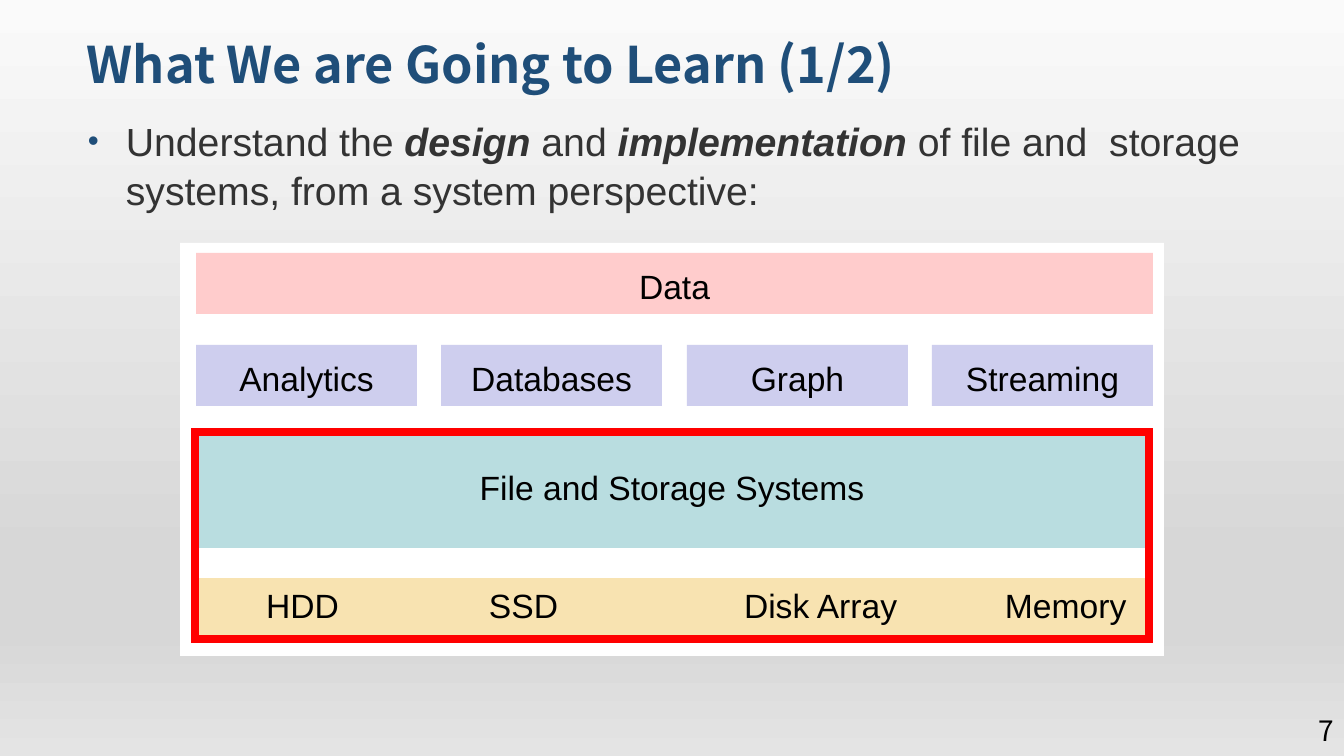
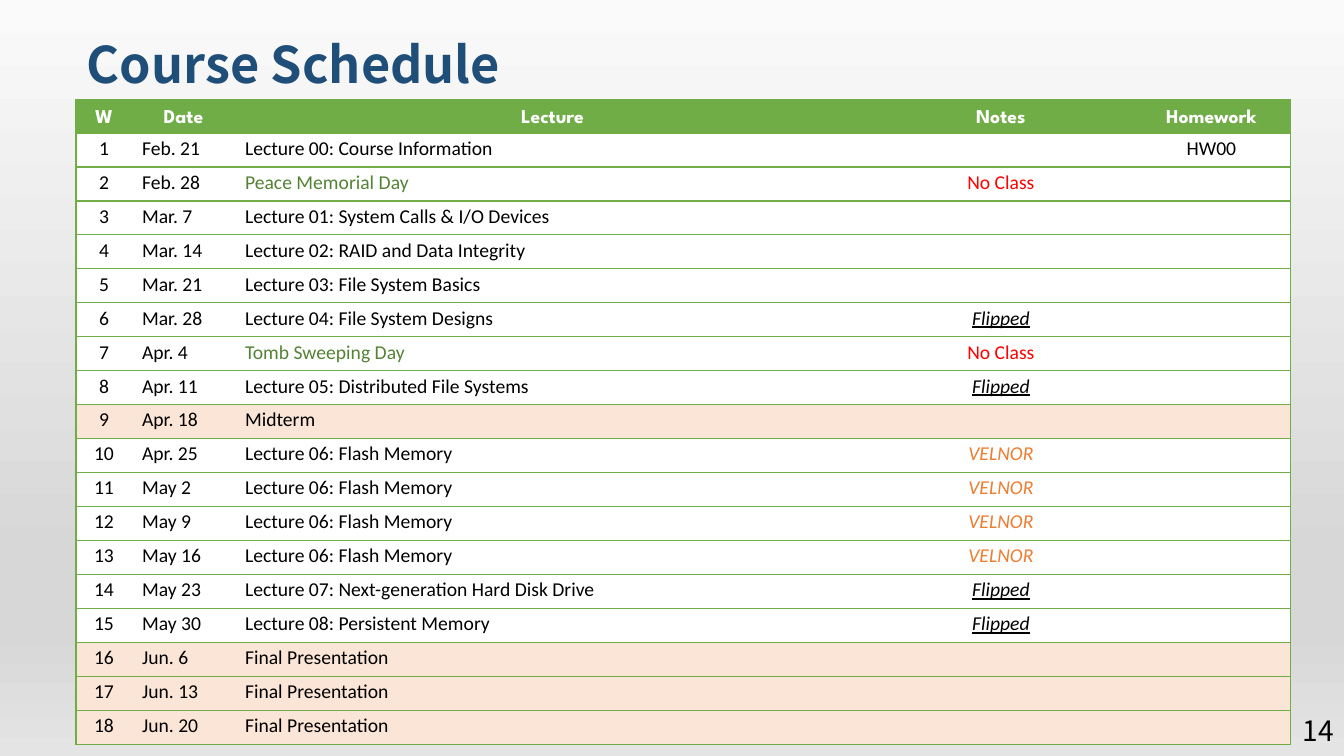
"""Build the course deck: a storage stack diagram and the course schedule."""
from dataclasses import dataclass
from typing import Any, NamedTuple

from lxml import etree
from pptx import Presentation
from pptx import util as u
from pptx.dml.color import RGBColor
from pptx.enum import shapes, text
from pptx.oxml.ns import qn

PX_PER_INCH = 100.8
NO_STYLE = "{2D5ABB26-0587-4C30-8999-92F81FD0307C}"
ALIGN = text.PP_ALIGN
ANCHOR = text.MSO_ANCHOR


@dataclass(frozen=True)
class Theme:
    """Colours, fonts and type sizes of the deck."""

    navy: str = "1F4E79"
    body: str = "333333"
    black: str = "000000"
    white: str = "FFFFFF"
    red: str = "FF0000"
    pink: str = "FFCCCC"
    lilac: str = "CECEEE"
    teal: str = "B9DDE0"
    sand: str = "F8E3B1"
    green: str = "70AD47"
    holiday: str = "548235"
    guest: str = "ED7D31"
    peach: str = "FBE5D6"
    backdrop: tuple = ((0, "FAFAFA"), (74, "D7D7D7"), (83, "D7D7D7"), (100, "E4E4E4"))
    heading_font: str = "Noto Sans CJK TC"
    body_font: str = "Arial"
    header_font: str = "League Spartan"
    cell_font: str = "Calibri"
    title_size: int = 36
    body_size: int = 28
    block_size: int = 24
    number_size: int = 20
    cell_size: int = 14
    cell_line: int = 16


THEME = Theme()


class Rect(NamedTuple):
    """A rectangle in px."""

    left: int
    top: int
    width: int
    height: int


@dataclass(frozen=True)
class Style:
    """The look of a span of text."""

    font: str
    size: int
    color: str
    bold: bool = False
    italic: bool = False
    underline: bool = False


class Span(NamedTuple):
    """A piece of text with one style."""

    words: str
    style: Style


class Block(NamedTuple):
    """A filled rectangle with an optional label."""

    rect: Rect
    color: str
    label: str = ""


class Week(NamedTuple):
    """One row of the schedule."""

    date: str
    lecture: str
    note: str = ""
    homework: str = ""


TITLE = Style(THEME.heading_font, THEME.title_size, THEME.navy, bold=True)
NUMBER = Style(THEME.heading_font, THEME.number_size, THEME.black)
PLAIN = Style(THEME.body_font, THEME.body_size, THEME.body)
STRONG = Style(THEME.body_font, THEME.body_size, THEME.body, bold=True, italic=True)
LABEL = Style(THEME.body_font, THEME.block_size, THEME.black)
HEADER = Style(THEME.header_font, THEME.cell_size, THEME.white, bold=True)
CELL = Style(THEME.cell_font, THEME.cell_size, THEME.black)
HOLIDAY = Style(THEME.cell_font, THEME.cell_size, THEME.holiday)
NOTES = {
    "No Class": Style(THEME.cell_font, THEME.cell_size, THEME.red),
    "Flipped": Style(THEME.cell_font, THEME.cell_size, THEME.black, italic=True, underline=True),
    "VELNOR": Style(THEME.cell_font, THEME.cell_size, THEME.guest, italic=True),
}
EXAMS = ("Midterm", "Final Presentation")
COLUMNS = {"W": 56, "Date": 103, "Lecture": 635, "Notes": 262, "Homework": 159}
FLASH = "Lecture 06: Flash Memory"
WEEKS = (
    Week("Feb. 21", "Lecture 00: Course Information", homework="HW00"),
    Week("Feb. 28", "Peace Memorial Day", "No Class"),
    Week("Mar. 7", "Lecture 01: System Calls & I/O Devices"),
    Week("Mar. 14", "Lecture 02: RAID and Data Integrity"),
    Week("Mar. 21", "Lecture 03: File System Basics"),
    Week("Mar. 28", "Lecture 04: File System Designs", "Flipped"),
    Week("Apr. 4", "Tomb Sweeping Day", "No Class"),
    Week("Apr. 11", "Lecture 05: Distributed File Systems", "Flipped"),
    Week("Apr. 18", "Midterm"),
    *(Week(date, FLASH, "VELNOR") for date in ("Apr. 25", "May 2", "May 9", "May 16")),
    Week("May 23", "Lecture 07: Next-generation Hard Disk Drive", "Flipped"),
    Week("May 30", "Lecture 08: Persistent Memory", "Flipped"),
    *(Week(date, "Final Presentation") for date in ("Jun. 6", "Jun. 13", "Jun. 20")),
)


def px(length: int) -> u.Emu:
    """Turn px into EMU."""
    return u.Emu(round(length * 914400 / PX_PER_INCH))


def place(rect: Rect) -> tuple[u.Emu, ...]:
    """Turn a rectangle into EMU lengths."""
    return tuple(px(length) for length in rect)


def write(para: Any, *spans: Span) -> None:
    """Add spans to a paragraph run by run."""
    for span in spans:
        run = para.add_run()
        run.text = span.words
        font, style = run.font, span.style
        font.name, font.size = style.font, u.Pt(style.size)
        font.bold, font.italic, font.underline = style.bold, style.italic, style.underline
        font.color.rgb = RGBColor.from_string(style.color)


def add_text(page: Any, rect: Rect, anchor: Any, align: Any, *spans: Span) -> Any:
    """Add a wrapping text box and return its paragraph."""
    frame = page.shapes.add_textbox(*place(rect)).text_frame
    frame.word_wrap, frame.vertical_anchor = True, anchor
    para = frame.paragraphs[0]
    para.alignment = align
    write(para, *spans)
    return para


def add_block(page: Any, block: Block) -> None:
    """Draw a filled rectangle with its centred label."""
    box = page.shapes.add_shape(shapes.MSO_SHAPE.RECTANGLE, *place(block.rect))
    box.shadow.inherit = False
    box.fill.solid()
    box.fill.fore_color.rgb = RGBColor.from_string(block.color)
    box.line.fill.background()
    if block.label:
        frame = box.text_frame
        frame.margin_left = frame.margin_right = frame.margin_bottom = 0
        frame.margin_top = px(5)
        frame.vertical_anchor = ANCHOR.MIDDLE
        frame.paragraphs[0].alignment = ALIGN.CENTER
        write(frame.paragraphs[0], Span(block.label, LABEL))


def add_table(page: Any, left: int, top: int, widths: list[int], heights: list[int]) -> Any:
    """Add an unstyled table with the given column widths and row heights."""
    rect = Rect(left, top, sum(widths), sum(heights))
    table = page.shapes.add_table(len(heights), len(widths), *place(rect)).table
    properties = table._tbl.tblPr
    properties.find(qn("a:tableStyleId")).text = NO_STYLE
    table.first_row = table.horz_banding = False
    for column, width in zip(table.columns, widths):
        column.width = px(width)
    for row, height in zip(table.rows, heights):
        row.height = px(height)
    return table


def finish_cell(cell: Any, sides: str, color: str, points: int, fill: str = "") -> None:
    """Draw the borders named in sides (of LRTB), then fill the cell."""
    properties = cell._tc.get_or_add_tcPr()
    for side in sides:
        line = etree.SubElement(properties, qn(f"a:ln{side}"), w=str(u.Pt(points)))
        solid = etree.SubElement(line, qn("a:solidFill"))
        etree.SubElement(solid, qn("a:srgbClr"), val=color)
    if fill:
        cell.fill.solid()
        cell.fill.fore_color.rgb = RGBColor.from_string(fill)
    else:
        cell.fill.background()


def size_empty(para: Any, points: int) -> None:
    """Set the type size of an empty paragraph."""
    etree.SubElement(para._p, qn("a:endParaRPr"), sz=str(points * 100))


def set_backdrop(deck: Any) -> None:
    """Give the master a vertical gradient background."""
    fill = deck.slide_master.background.fill
    fill.gradient()
    fill.gradient_angle = 270
    stops = deck.slide_master.element.find(f".//{qn('a:gsLst')}")
    for stop in list(stops):
        stops.remove(stop)
    for percent, color in THEME.backdrop:
        stop = etree.SubElement(stops, qn("a:gs"), pos=str(percent * 1000))
        etree.SubElement(stop, qn("a:srgbClr"), val=color)


def add_page(deck: Any, title: str, number: int) -> Any:
    """Add a page with its title and number."""
    page = deck.slides.add_slide(deck.slide_layouts[6])
    heading = add_text(page, Rect(77, 21, 1140, 78), ANCHOR.BOTTOM, ALIGN.LEFT, Span(title, TITLE))
    heading.line_spacing = 0.9
    add_text(page, Rect(1218, 720, 126, 20), ANCHOR.MIDDLE, ALIGN.RIGHT, Span(str(number), NUMBER))
    return page


def add_bullet(para: Any) -> None:
    """Give a paragraph a hanging navy bullet."""
    para.line_spacing = 1.05
    properties = para._p.get_or_add_pPr()
    properties.set("marL", str(px(39)))
    properties.set("indent", str(-px(38)))
    color = etree.SubElement(properties, qn("a:buClr"))
    etree.SubElement(color, qn("a:srgbClr"), val=THEME.navy)
    etree.SubElement(properties, qn("a:buSzPct"), val="80000")
    etree.SubElement(properties, qn("a:buFont"), typeface=THEME.body_font)
    etree.SubElement(properties, qn("a:buChar"), char="•")


def add_storage_table(page: Any) -> None:
    """Draw the red-framed table of storage systems and devices."""
    table = add_table(page, 195, 432, [218, 736], [116, 30, 61])
    for row in (0, 1):
        table.cell(row, 0).merge(table.cell(row, 1))
    fills = (THEME.teal, "", THEME.sand)
    borders = (("LRT", "RT"), ("LR", "R"), ("LB", "RB"))
    for row, (fill, pair) in enumerate(zip(fills, borders)):
        for column, sides in enumerate(pair):
            cell = table.cell(row, column)
            cell.margin_left = cell.margin_right = cell.margin_top = 0
            cell.margin_bottom = px(3)
            cell.vertical_anchor = ANCHOR.MIDDLE
            finish_cell(cell, sides, THEME.red, 6, fill)
    systems, gap, disks, others = (table.cell(*at) for at in ((0, 0), (1, 0), (2, 0), (2, 1)))
    paras = [cell.text_frame.paragraphs[0] for cell in (systems, gap, disks, others)]
    paras[0].alignment = ALIGN.CENTER
    write(paras[0], Span("File and Storage Systems", LABEL))
    for para in (paras[1], table.cell(0, 1).text_frame.paragraphs[0], table.cell(1, 1).text_frame.paragraphs[0]):
        size_empty(para, 10)
    disks.margin_left, others.margin_left = px(71), px(76)
    write(paras[2], Span("HDD", LABEL))
    tabs = etree.SubElement(paras[3]._p.get_or_add_pPr(), qn("a:tabLst"))
    for stop in (255, 516):
        etree.SubElement(tabs, qn("a:tab"), pos=str(px(stop)), algn="l")
    write(paras[3], *(Span(words, LABEL) for words in ("SSD\t", "Disk Array\t", "Memory")))


def build_stack_page(deck: Any) -> None:
    """Build the page with the storage stack."""
    page = add_page(deck, "What We are Going to Learn (1/2)", 7)
    add_bullet(add_text(
        page, Rect(77, 110, 1215, 613), ANCHOR.TOP, ALIGN.LEFT,
        Span("Understand the ", PLAIN), Span("design", STRONG), Span(" and ", PLAIN),
        Span("implementation", STRONG),
        Span(" of file and  storage systems, from a system perspective:", PLAIN),
    ))
    lefts = [196 + round(index * 736 / 3) for index in range(4)]
    apps = ("Analytics", "Databases", "Graph", "Streaming")
    blocks = [Block(Rect(180, 243, 984, 413), THEME.white)]
    blocks += [Block(Rect(left, 345, 221, 61), THEME.lilac, app) for left, app in zip(lefts, apps)]
    blocks += [Block(Rect(left, 582, 221, 61), THEME.sand) for left in lefts[1:]]
    blocks.append(Block(Rect(196, 253, 957, 61), THEME.pink, "Data"))
    for block in blocks:
        add_block(page, block)
    add_storage_table(page)


def build_schedule_page(deck: Any) -> None:
    """Build the page with the weekly schedule."""
    page = add_page(deck, "Course Schedule", 14)
    rows = [(THEME.green, [Span(name, HEADER) for name in COLUMNS])]
    for number, week in enumerate(WEEKS, 1):
        fill = THEME.peach if week.lecture in EXAMS else THEME.white
        lecture = HOLIDAY if week.note == "No Class" else CELL
        rows.append((fill, [
            Span(str(number), CELL), Span(week.date, CELL), Span(week.lecture, lecture),
            Span(week.note, NOTES.get(week.note, CELL)), Span(week.homework, CELL),
        ]))
    table = add_table(page, 76, 100, list(COLUMNS.values()), [33] + [34] * len(WEEKS))
    for row, (fill, spans) in enumerate(rows):
        for column, span in enumerate(spans):
            cell = table.cell(row, column)
            para = cell.text_frame.paragraphs[0]
            para.alignment = ALIGN.LEFT if row and column in (1, 2) else ALIGN.CENTER
            para.line_spacing = u.Pt(THEME.cell_line)
            if span.words:
                write(para, span)
            else:
                size_empty(para, THEME.cell_size)
            finish_cell(cell, {0: "LTB", 4: "RTB"}.get(column, "TB"), THEME.green, 1, fill)


def main() -> None:
    """Build and save the deck."""
    deck = Presentation()
    deck.slide_width, deck.slide_height = px(1344), px(756)
    set_backdrop(deck)
    build_stack_page(deck)
    build_schedule_page(deck)
    deck.save("out.pptx")


if __name__ == "__main__":
    main()
